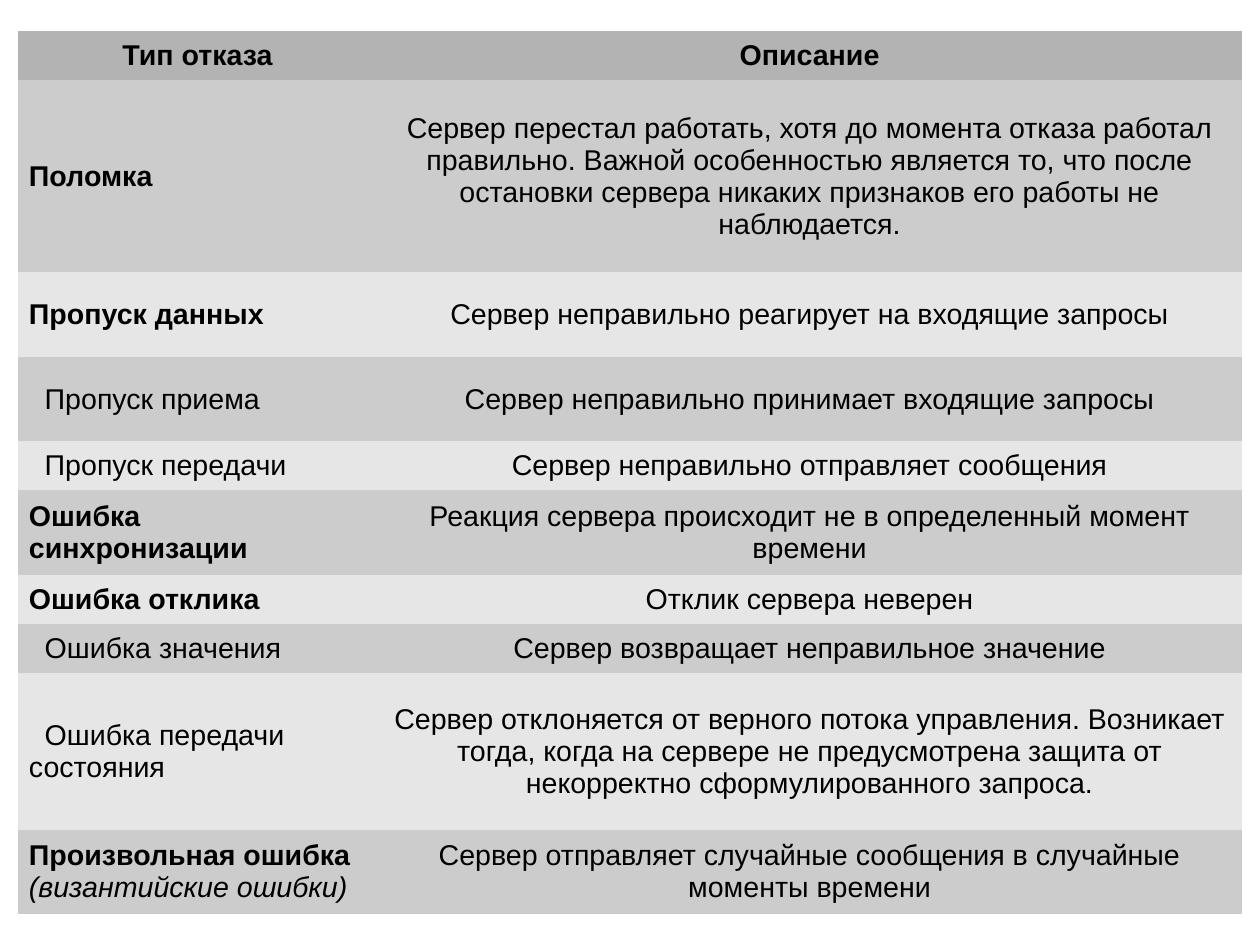
from dataclasses import dataclass

from lxml import etree
from pptx import Presentation
from pptx.dml.color import RGBColor
from pptx.enum.text import MSO_ANCHOR, PP_ALIGN
from pptx.oxml.ns import qn
from pptx.util import Cm, Pt

LEFT, CENTER = PP_ALIGN.LEFT, PP_ALIGN.CENTER
MIDDLE = MSO_ANCHOR.MIDDLE
PLAIN_STYLE = "{2D5ABB26-0587-4C30-8999-92F81FD0307C}"  # no style, no grid


@dataclass(frozen=True)
class Theme:
    font: str = "Arial"
    size: int = 18
    ink: str = "000000"
    head: str = "B3B3B3"
    bands: tuple = ("CCCCCC", "E6E6E6")
    indent: float = 0.35


@dataclass(frozen=True)
class Fault:
    name: str
    note: str
    height: float
    sub: bool = False
    aside: str = ""


LOW, MID = 1.09, 1.88
WIDTHS = (8, 19.2)
TITLES = ("Тип отказа", "Описание")
FAULTS = [
    Fault("Поломка",
          "Сервер перестал работать, хотя до момента отказа работал правильно. "
          "Важной особенностью является то, что после остановки сервера "
          "никаких признаков его работы не наблюдается.", 4.27),
    Fault("Пропуск данных",
          "Сервер неправильно реагирует на входящие запросы", MID),
    Fault("Пропуск приема",
          "Сервер неправильно принимает входящие запросы", MID, sub=True),
    Fault("Пропуск передачи",
          "Сервер неправильно отправляет сообщения", LOW, sub=True),
    Fault("Ошибка синхронизации",
          "Реакция сервера происходит не в определенный момент времени", MID),
    Fault("Ошибка отклика", "Отклик сервера неверен", LOW),
    Fault("Ошибка значения",
          "Сервер возвращает неправильное значение", LOW, sub=True),
    Fault("Ошибка передачи состояния",
          "Сервер отклоняется от верного потока управления. Возникает тогда, "
          "когда на сервере не предусмотрена защита от некорректно "
          "сформулированного запроса.", 3.48, sub=True),
    Fault("Произвольная ошибка ",
          "Сервер отправляет случайные сообщения в случайные моменты времени",
          MID, aside="(византийские ошибки)"),
]


class Painter:
    def __init__(self, slide, theme):
        self.slide = slide
        self.theme = theme

    def grid(self, left, top, widths, heights):
        """Add a table without borders or banding."""
        frame = self.slide.shapes.add_table(
            len(heights), len(widths), Cm(left), Cm(top),
            Cm(sum(widths)), Cm(sum(heights)))
        table = frame.table
        table.first_row = table.horz_banding = False
        frame._element.find(".//" + qn("a:tableStyleId")).text = PLAIN_STYLE
        for column, width in zip(table.columns, widths):
            column.width = Cm(width)
        for row, height in zip(table.rows, heights):
            row.height = Cm(height)
        return table

    def cell(self, cell, text, fill, align=CENTER, bold=False):
        cell.fill.solid()
        cell.fill.fore_color.rgb = RGBColor.from_string(fill)
        cell.vertical_anchor = MIDDLE
        para = cell.text_frame.paragraphs[0]
        para.alignment = align
        font = para.font
        font.name = self.theme.font
        font.size = Pt(self.theme.size)
        font.color.rgb = RGBColor.from_string(self.theme.ink)
        font.bold = bold
        para.add_run().text = text
        return para

    def indent(self, para):
        """Indent the first line only."""
        props = para._p.get_or_add_pPr()
        props.set("marL", "0")
        props.set("indent", str(Cm(self.theme.indent)))

    def aside(self, para, text):
        """Add an italic remark after a bold name."""
        para.font.bold = None
        para.runs[0].font.bold = True
        run = para.add_run()
        run.text = text
        run.font.bold = False
        run.font.italic = True

    def faults(self, left, top):
        heights = [LOW] + [fault.height for fault in FAULTS]
        table = self.grid(left, top, WIDTHS, heights)
        for col, title in enumerate(TITLES):
            self.cell(table.cell(0, col), title, self.theme.head, bold=True)
        for row, fault in enumerate(FAULTS, 1):
            fill = self.theme.bands[(row - 1) % 2]
            name = self.cell(table.cell(row, 0), fault.name, fill, LEFT,
                             bold=not fault.sub)
            if fault.sub:
                self.indent(name)
            if fault.aside:
                self.aside(name, fault.aside)
            self.cell(table.cell(row, 1), fault.note, fill)


def main():
    deck = Presentation()
    deck.slide_width, deck.slide_height = Cm(28), Cm(21)
    blank = deck.slide_layouts[6]
    painter = Painter(deck.slides.add_slide(blank), Theme())
    painter.faults(0.39, 0.69)
    deck.save("out.pptx")


if __name__ == "__main__":
    main()
